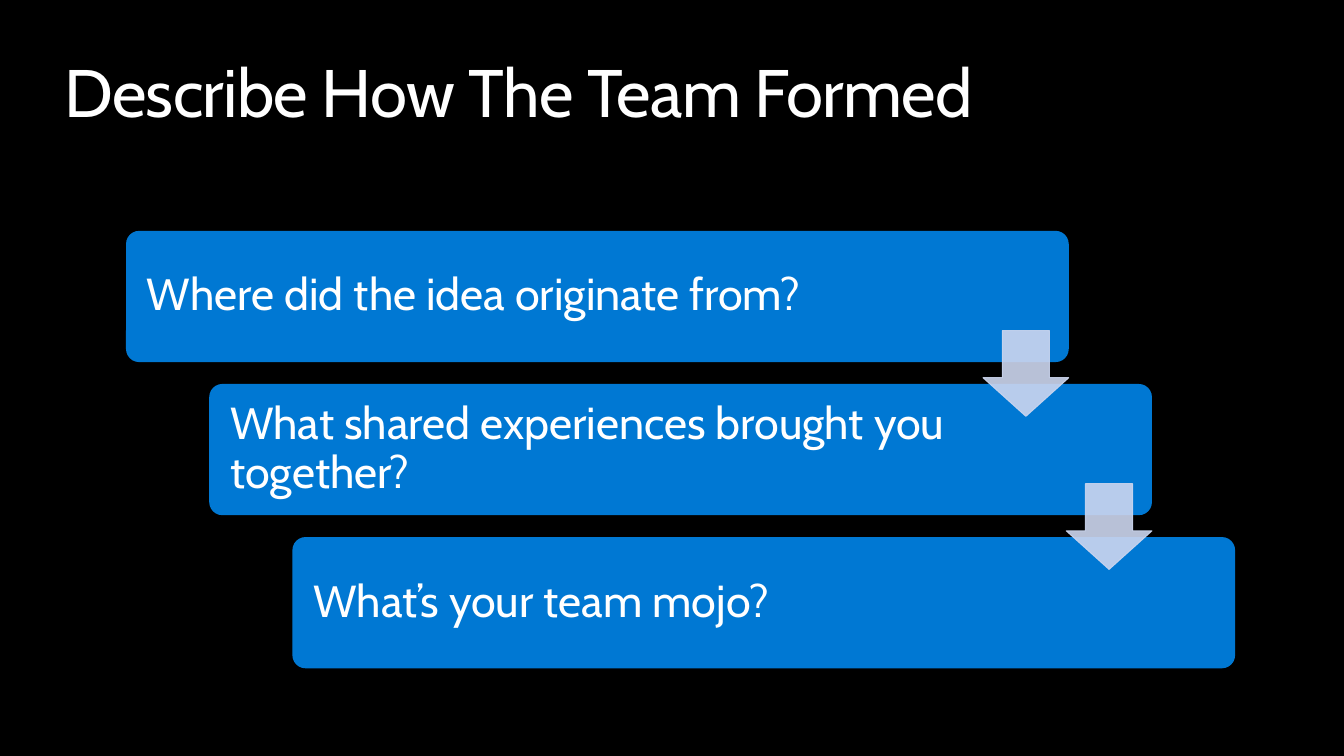
from dataclasses import dataclass

from lxml import etree
from pptx import Presentation
from pptx.dml.color import RGBColor
from pptx.enum.shapes import MSO_SHAPE
from pptx.enum.text import MSO_ANCHOR, MSO_AUTO_SIZE, PP_ALIGN
from pptx.oxml.ns import qn
from pptx.util import Inches, Pt

ROUNDED = MSO_SHAPE.ROUNDED_RECTANGLE
DOWN_ARROW = MSO_SHAPE.DOWN_ARROW
TOP = MSO_ANCHOR.TOP
MIDDLE = MSO_ANCHOR.MIDDLE
LEFT = PP_ALIGN.LEFT
NO_AUTOFIT = MSO_AUTO_SIZE.NONE
TITLE_ONLY_LAYOUT = 5


@dataclass(frozen=True)
class Theme:
    background: RGBColor = RGBColor(0x00, 0x00, 0x00)
    text: RGBColor = RGBColor(0xFF, 0xFF, 0xFF)
    card: RGBColor = RGBColor(0x00, 0x78, 0xD3)
    arrow: RGBColor = RGBColor(0xCC, 0xD6, 0xEF)
    arrow_alpha: int = 90000
    font: str = "Cabin"
    title_size: Pt = Pt(48)
    card_size: Pt = Pt(32)


THEME = Theme()
HEADING = "Describe How The Team Formed"
QUESTIONS = [
    "Where did the idea originate from?",
    "What shared experiences brought you together?",
    "What’s your team mojo?",
]


def write_text(frame, text, size, anchor, margins):
    frame.text = text
    frame.word_wrap = True
    frame.auto_size = NO_AUTOFIT
    frame.vertical_anchor = anchor
    (frame.margin_left, frame.margin_top,
     frame.margin_right, frame.margin_bottom) = map(Inches, margins)
    paragraph = frame.paragraphs[0]
    paragraph.alignment = LEFT
    paragraph.font.name = THEME.font
    paragraph.font.size = size
    paragraph.font.color.rgb = THEME.text
    return paragraph


def add_heading(slide, text, left, top, width, height):
    heading = slide.shapes.title
    heading.left, heading.top = Inches(left), Inches(top)
    heading.width, heading.height = Inches(width), Inches(height)
    paragraph = write_text(heading.text_frame, text, THEME.title_size, TOP, (0, 0, 0, 0))
    paragraph.line_spacing = 1.0
    paragraph._p.pPr.find(qn("a:defRPr")).set("spc", "-50")


def add_card(slide, question, left, top, width, height):
    card = slide.shapes.add_shape(
        ROUNDED, Inches(left), Inches(top), Inches(width), Inches(height))
    card.adjustments[0] = 0.1
    card.shadow.inherit = False
    card.fill.solid()
    card.fill.fore_color.rgb = THEME.card
    card.line.fill.background()
    paragraph = write_text(
        card.text_frame, question, THEME.card_size, MIDDLE, (0.17, 0.13, 1.84, 0.13))
    paragraph.line_spacing = 0.9


def add_step_arrow(slide, left, top, side):
    arrow = slide.shapes.add_shape(
        DOWN_ARROW, Inches(left), Inches(top), Inches(side), Inches(side))
    arrow.adjustments[0] = 0.55
    arrow.adjustments[1] = 0.45
    arrow.shadow.inherit = False
    arrow.line.width = Pt(0.75)
    for paint in (arrow.fill, arrow.line.fill):
        paint.solid()
        paint.fore_color.rgb = THEME.arrow
    for color in arrow._element.spPr.iter(qn("a:srgbClr")):
        etree.SubElement(color, qn("a:alpha")).set("val", str(THEME.arrow_alpha))


def add_staircase(slide, questions, left, top, width, height):
    card_width, card_height = 0.85 * width, 0.3 * height
    arrow_side, arrow_drop = 0.85, 0.99
    gaps = len(questions) - 1
    step_x = (width - card_width) / gaps
    step_y = (height - card_height) / gaps
    corners = [(left + i * step_x, top + i * step_y) for i in range(len(questions))]
    for question, (x, y) in zip(questions, corners):
        add_card(slide, question, x, y, card_width, card_height)
    for x, y in corners[:-1]:
        add_step_arrow(slide, x + card_width - arrow_side, y + arrow_drop, arrow_side)


def main():
    deck = Presentation()
    deck.slide_width, deck.slide_height = Inches(13.33), Inches(7.5)
    slide = deck.slides.add_slide(deck.slide_layouts[TITLE_ONLY_LAYOUT])
    slide.background.fill.solid()
    slide.background.fill.fore_color.rgb = THEME.background
    add_heading(slide, HEADING, 0.64, 0.5, 12.05, 0.61)
    add_staircase(slide, QUESTIONS, 1.25, 2.29, 11, 4.34)
    deck.save("out.pptx")


if __name__ == "__main__":
    main()
